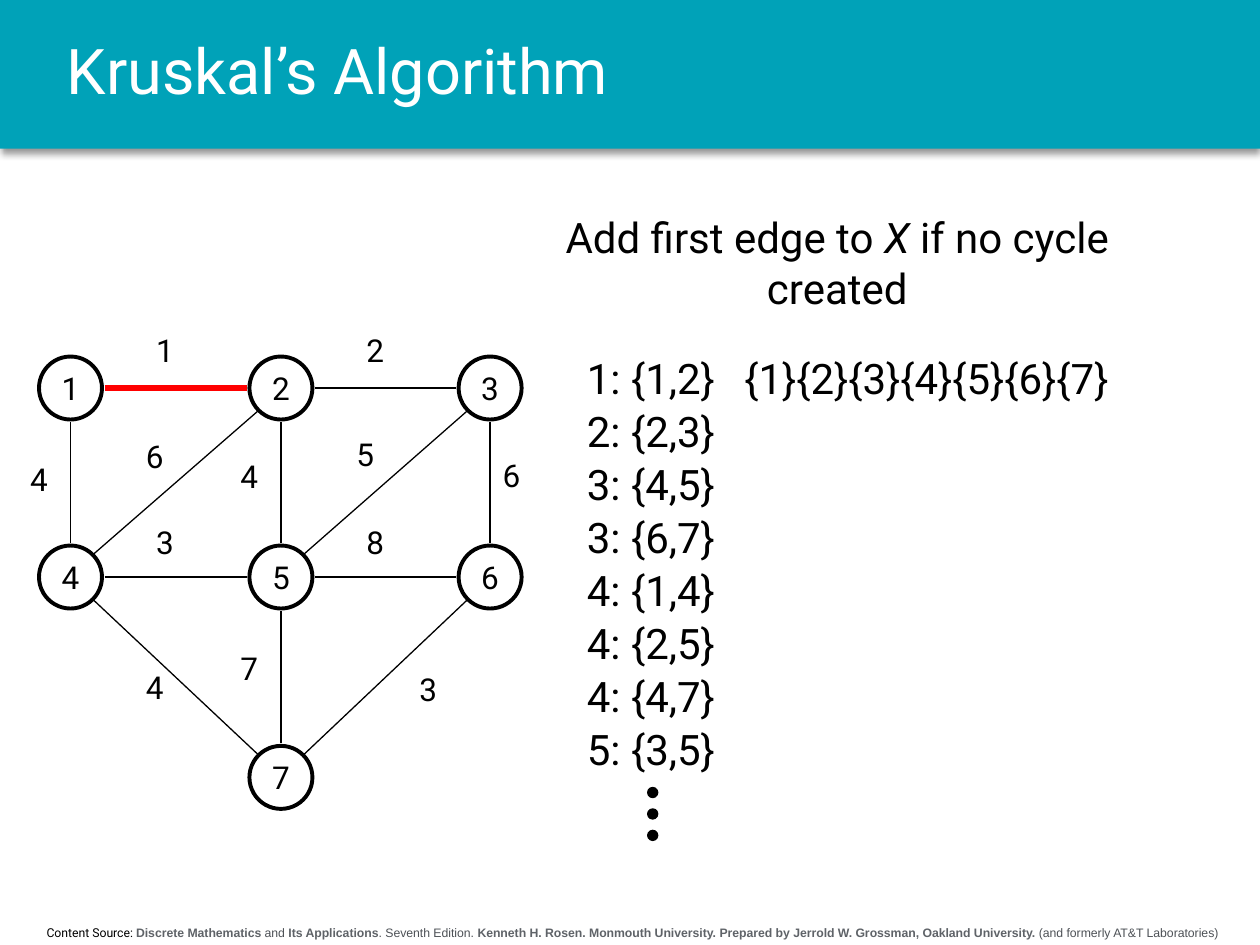
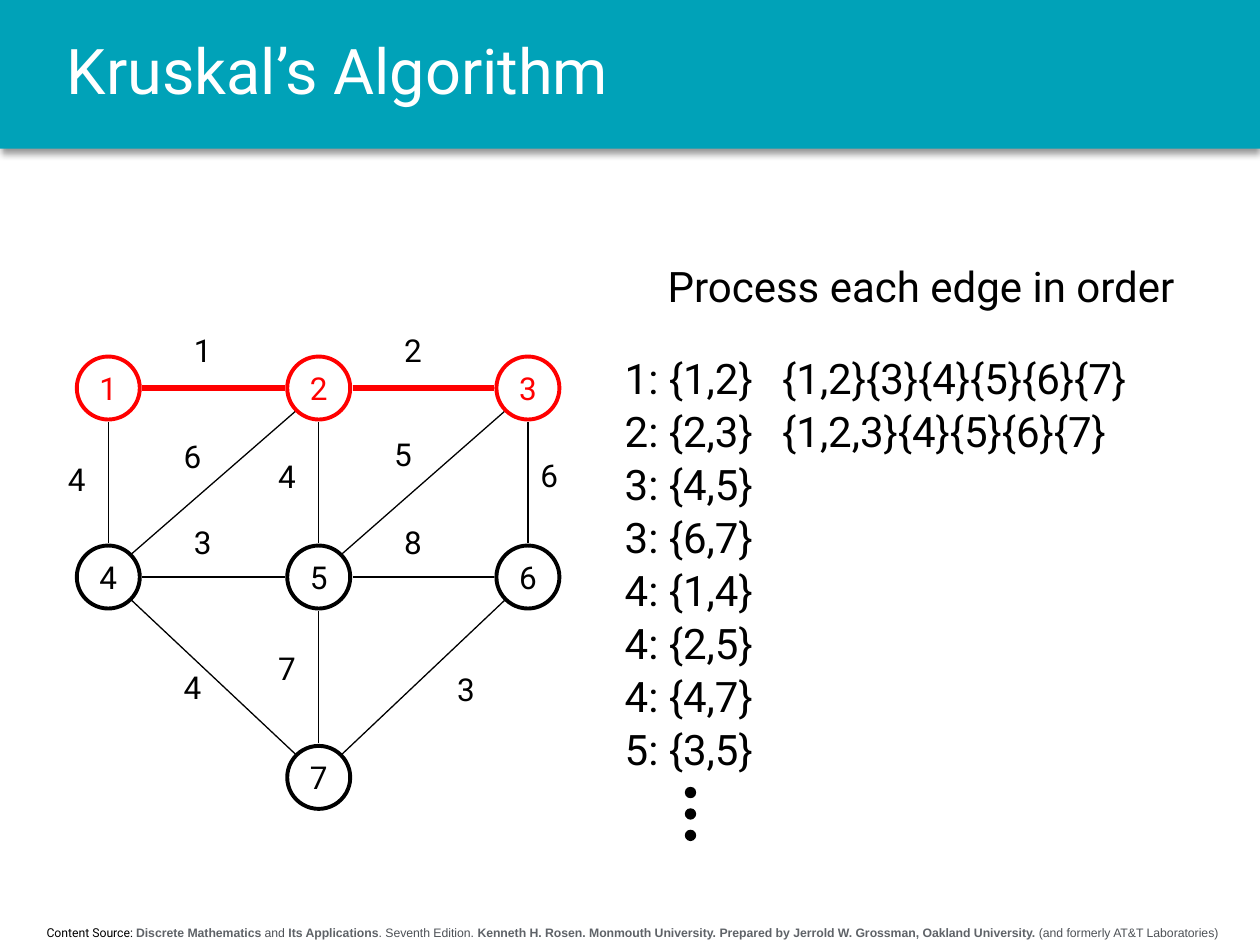
from dataclasses import dataclass
from math import copysign

from lxml import etree
from pptx import Presentation
from pptx.dml.color import RGBColor
from pptx.enum import shapes, text
from pptx.oxml.ns import qn
from pptx.slide import Slide
from pptx.util import Inches, Pt

TEAL = RGBColor(0x00, 0xA2, 0xB8)
WHITE = RGBColor(0xFF, 0xFF, 0xFF)
BLACK = RGBColor(0x00, 0x00, 0x00)
RED = RGBColor(0xFF, 0x00, 0x00)
DARK_GREY = RGBColor(0x4D, 0x51, 0x56)
GREY = RGBColor(0x5F, 0x63, 0x68)

BODY_FONT = "Roboto"
SOURCE_FONT = "Arial"

NODE_SIZE = 0.5
STRAIGHT_REACH = 0.27  # node centre to the end of a level or upright edge
DIAGONAL_REACH = 0.18  # the same for a slanted edge, on each axis
LIST_TOP, LIST_PITCH = 2.75, 0.42
DOT_SIZE, DOT_TOP, DOT_PITCH = 0.08, 6.25, 0.17


@dataclass(frozen=True)
class Span:
    words: str
    bold: bool = False
    italic: bool = False
    color: RGBColor = BLACK
    font: str = BODY_FONT


@dataclass(frozen=True)
class Edge:
    start: int
    end: int
    weight: int
    label_left: float
    label_top: float


@dataclass(frozen=True)
class Step:
    """One stage of the algorithm; shift moves the graph and list right."""
    shift: float
    caption: list[Span]
    caption_at: tuple[float, float, float]
    red_nodes: set[int]
    red_edges: set[tuple[int, int]]
    partitions: list[str]


NODE_CENTRES = {
    1: (0.56, 3.08), 2: (2.23, 3.08), 3: (3.89, 3.08),
    4: (0.56, 4.58), 5: (2.23, 4.58), 6: (3.89, 4.58),
    7: (2.23, 6.17),
}
EDGES = [
    Edge(1, 2, 1, 1.14, 2.58), Edge(2, 3, 2, 2.81, 2.58),
    Edge(4, 5, 3, 1.14, 4.1), Edge(5, 6, 8, 2.81, 4.1),
    Edge(1, 4, 4, 0.14, 3.6), Edge(4, 2, 6, 1.06, 3.42),
    Edge(2, 5, 4, 1.81, 3.58), Edge(5, 3, 5, 2.73, 3.4),
    Edge(3, 6, 6, 3.89, 3.57), Edge(4, 7, 4, 1.06, 5.25),
    Edge(5, 7, 7, 1.81, 5.1), Edge(6, 7, 3, 3.23, 5.27),
]
SORTED_EDGES = ["1: {1,2}", "2: {2,3}", "3: {4,5}", "3: {6,7}",
                "4: {1,4}", "4: {2,5}", "4: {4,7}", "5: {3,5}"]
SOURCE = [
    Span("Content Source: "),
    Span("Discrete Mathematics", True, color=GREY, font=SOURCE_FONT),
    Span(" and ", color=DARK_GREY, font=SOURCE_FONT),
    Span("Its Applications", True, color=GREY, font=SOURCE_FONT),
    Span(". Seventh Edition. ", color=DARK_GREY, font=SOURCE_FONT),
    Span("Kenneth H. Rosen. Monmouth University. Prepared by "
         "Jerrold W. Grossman, Oakland University.",
         True, color=GREY, font=SOURCE_FONT),
    Span(" (and formerly AT&T Laboratories)", color=DARK_GREY, font=SOURCE_FONT),
]
STEPS = [
    Step(0, [Span("Add first edge to "), Span("X", italic=True),
             Span(" if no cycle created")],
         (3.81, 1.79, 5.67), set(), {(1, 2)}, ["{1}{2}{3}{4}{5}{6}{7}"]),
    Step(0.3, [Span("Process each edge in order")],
         (4.85, 1.98, 4.92), {1, 2, 3}, {(1, 2), (2, 3)},
         ["{1,2}{3}{4}{5}{6}{7}", "{1,2,3}{4}{5}{6}{7}"]),
]


def write(frame, spans: list[Span], size: float, align=text.PP_ALIGN.LEFT) -> None:
    para = frame.paragraphs[0]
    para.alignment = align
    for span in spans:
        run = para.add_run()
        run.text = span.words
        run.font.size = Pt(size)
        run.font.name = span.font
        run.font.bold = span.bold
        run.font.italic = span.italic
        run.font.color.rgb = span.color


def add_text(page: Slide, left: float, top: float, width: float, height: float,
             spans: list[Span], size: float, align=text.PP_ALIGN.LEFT):
    box = page.shapes.add_textbox(Inches(left), Inches(top), Inches(width), Inches(height))
    box.text_frame.word_wrap = True
    write(box.text_frame, spans, size, align)
    return box


def add_band(page: Slide) -> None:
    """Put the shadowed teal band behind the title."""
    band = page.shapes.add_shape(shapes.MSO_SHAPE.RECTANGLE, 0, 0, Inches(10), Inches(1.18))
    band.fill.solid()
    band.fill.fore_color.rgb = TEAL
    band.line.fill.background()
    band.shadow.inherit = False
    effects = band.element.spPr.find(qn("a:effectLst"))
    shadow = etree.SubElement(effects, qn("a:outerShdw"), blurRad=str(Pt(4)),
                              dist=str(Pt(3)), dir="5400000", rotWithShape="0")
    color = etree.SubElement(shadow, qn("a:srgbClr"), val=str(BLACK))
    etree.SubElement(color, qn("a:alpha"), val="40000")
    page.shapes.title.element.addprevious(band.element)


def add_title(page: Slide, words: str) -> None:
    title = page.shapes.title
    title.left, title.top = Inches(0.43), Inches(0)
    title.width, title.height = Inches(9.3), Inches(1.18)
    frame = title.text_frame
    frame.auto_size = text.MSO_AUTO_SIZE.NONE
    frame.vertical_anchor = text.MSO_ANCHOR.MIDDLE
    write(frame, [Span(words, color=WHITE)], 36)
    frame.paragraphs[0].line_spacing = 0.9


def add_circle(page: Slide, left: float, top: float, size: float,
               color: RGBColor, line_width: float):
    circle = page.shapes.add_shape(shapes.MSO_SHAPE.OVAL, Inches(left), Inches(top),
                                   Inches(size), Inches(size))
    circle.shadow.inherit = False
    circle.fill.background()
    circle.line.color.rgb = color
    circle.line.width = Pt(line_width)
    return circle


def add_node(page: Slide, number: int, shift: float, color: RGBColor) -> None:
    x, y = NODE_CENTRES[number]
    node = add_circle(page, x + shift - NODE_SIZE / 2, y - NODE_SIZE / 2,
                      NODE_SIZE, color, 2.25)
    node.text_frame.word_wrap = False
    node.text_frame.vertical_anchor = text.MSO_ANCHOR.MIDDLE
    write(node.text_frame, [Span(str(number), color=color)], 18, text.PP_ALIGN.CENTER)


def trim(start: float, end: float, reach: float) -> tuple[float, float]:
    """Pull both ends of one axis in by reach, unless they are level."""
    if start == end:
        return start, end
    inset = copysign(reach, end - start)
    return start + inset, end - inset


def add_edge(page: Slide, edge: Edge, shift: float, chosen: bool) -> None:
    (x1, y1), (x2, y2) = NODE_CENTRES[edge.start], NODE_CENTRES[edge.end]
    reach = STRAIGHT_REACH if x1 == x2 or y1 == y2 else DIAGONAL_REACH
    x1, x2 = trim(x1 + shift, x2 + shift, reach)
    y1, y2 = trim(y1, y2, reach)
    line = page.shapes.add_connector(shapes.MSO_CONNECTOR.STRAIGHT, Inches(x1),
                                     Inches(y1), Inches(x2), Inches(y2))
    line.line.color.rgb = RED if chosen else BLACK
    line.line.width = Pt(3 if chosen else 0.75)
    etree.SubElement(line.element.spPr, qn("a:effectLst"))
    add_text(page, edge.label_left + shift, edge.label_top, 0.5, 0.4,
             [Span(str(edge.weight))], 18)


def add_list(page: Slide, left: float, width: float, lines: list[str]) -> None:
    for row, words in enumerate(lines):
        add_text(page, left, LIST_TOP + row * LIST_PITCH, width, 0.5, [Span(words)], 24)


def add_dots(page: Slide, left: float) -> None:
    for row in range(3):
        dot = add_circle(page, left, DOT_TOP + row * DOT_PITCH, DOT_SIZE, BLACK, 0.75)
        dot.fill.solid()
        dot.fill.fore_color.rgb = BLACK


def add_caption(page: Slide, step: Step) -> None:
    left, top, width = step.caption_at
    box = add_text(page, left, top, width, 0.58, step.caption, 24, text.PP_ALIGN.CENTER)
    box.text_frame.word_wrap = False
    box.text_frame.vertical_anchor = text.MSO_ANCHOR.MIDDLE


def add_step(deck, step: Step) -> None:
    page = deck.slides.add_slide(deck.slide_layouts[5])
    add_band(page)
    add_title(page, "Kruskal’s Algorithm")
    add_text(page, 0.04, 7.29, 9.96, 0.22, SOURCE, 7, text.PP_ALIGN.CENTER)
    for edge in EDGES:
        add_edge(page, edge, step.shift, (edge.start, edge.end) in step.red_edges)
    for number in NODE_CENTRES:
        add_node(page, number, step.shift, RED if number in step.red_nodes else BLACK)
    add_list(page, 4.56 + step.shift, 1.67, SORTED_EDGES)
    add_list(page, 5.81 + step.shift, 3.67, step.partitions)
    add_dots(page, 5.14 + step.shift)
    add_caption(page, step)


def main() -> None:
    deck = Presentation()
    deck.slide_width, deck.slide_height = Inches(10), Inches(7.5)
    for step in STEPS:
        add_step(deck, step)
    deck.save("out.pptx")


if __name__ == "__main__":
    main()
